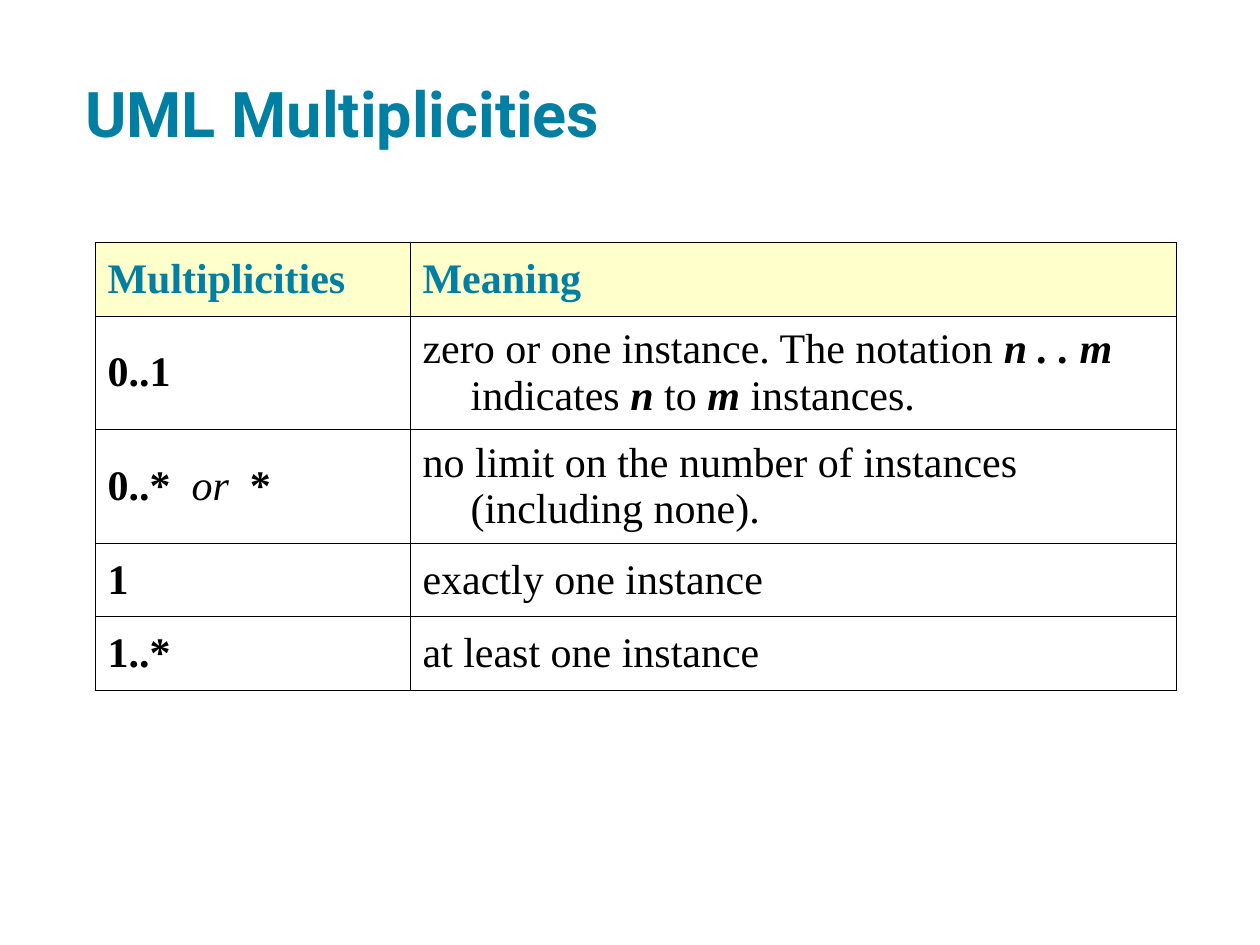
import pptx
import pptx.dml.color
import pptx.enum.text
import pptx.oxml
import pptx.oxml.ns
import pptx.util

# Content: each cell is a list of (text, style); b is bold, i is italic
TITLE = "UML Multiplicities"
ROWS = [
    ([("Multiplicities", "b")], [("Meaning", "b")]),
    ([("0..1", "b")],
     [("zero or one instance. The notation ", ""), ("n . . m", "bi"),
      (" indicates ", ""), ("n", "bi"), (" to ", ""), ("m", "bi"),
      (" instances.", "")]),
    ([("0..*", "b"), ("  or  ", "i"), ("*", "b")],
     [("no limit on the number of instances (including none).", "")]),
    ([("1", "b")], [("exactly one instance", "")]),
    ([("1..*", "b")], [("at least one instance", "")]),
]

# Layout in px, 126 to the inch
TITLE_BOX = (73, 63, 1143, 100)
TABLE_LEFT, TABLE_TOP = 95, 242
COLUMN_WIDTHS = (315, 766)
ROW_HEIGHTS = (74, 113, 114, 73, 74)
HANGING_INDENT = 48

TEAL = pptx.dml.color.RGBColor(0x00, 0x7F, 0xA3)
BLACK = pptx.dml.color.RGBColor(0x00, 0x00, 0x00)
CREAM = pptx.dml.color.RGBColor(0xFF, 0xFF, 0xCC)


def px(length):
    return pptx.util.Emu(round(length * 914400 / 126))


def add_run(paragraph, text, style, font_name, size, color):
    run = paragraph.add_run()
    run.text = text
    run.font.name = font_name
    run.font.size = pptx.util.Pt(size)
    run.font.bold = "b" in style
    run.font.italic = "i" in style
    run.font.color.rgb = color


def add_borders(cell):
    properties = cell._tc.get_or_add_tcPr()
    for position, side in enumerate(("lnL", "lnR", "lnT", "lnB")):
        border = pptx.oxml.parse_xml(
            f'<a:{side} {pptx.oxml.ns.nsdecls("a")} w="{pptx.util.Pt(0.34)}">'
            f'<a:solidFill><a:srgbClr val="{BLACK}"/></a:solidFill></a:{side}>')
        properties.insert(position, border)


def add_title(slide):
    box = slide.shapes.add_textbox(*map(px, TITLE_BOX))
    frame = box.text_frame
    frame.word_wrap = True
    frame.vertical_anchor = pptx.enum.text.MSO_ANCHOR.BOTTOM
    frame.margin_left = frame.margin_right = pptx.util.Inches(0.1)
    frame.margin_top = frame.margin_bottom = pptx.util.Inches(0.1)
    add_run(frame.paragraphs[0], TITLE, "b", "Roboto", 36, TEAL)


def fill_cell(cell, runs, is_header):
    cell.vertical_anchor = pptx.enum.text.MSO_ANCHOR.MIDDLE
    if is_header:
        cell.fill.solid()
        cell.fill.fore_color.rgb = CREAM
    else:
        cell.fill.background()
    add_borders(cell)
    paragraph = cell.text_frame.paragraphs[0]
    indent = px(HANGING_INDENT)
    paragraph_properties = paragraph._p.get_or_add_pPr()
    paragraph_properties.set("marL", str(indent))
    paragraph_properties.set("indent", str(-indent))
    for text, style in runs:
        add_run(paragraph, text, style, "Times New Roman", 24,
                TEAL if is_header else BLACK)


def add_multiplicity_table(slide):
    table = slide.shapes.add_table(
        len(ROWS), len(COLUMN_WIDTHS), px(TABLE_LEFT), px(TABLE_TOP),
        px(sum(COLUMN_WIDTHS)), px(sum(ROW_HEIGHTS))).table
    table.first_row = table.horz_banding = False
    for column, width in zip(table.columns, COLUMN_WIDTHS):
        column.width = px(width)
    for row_index, (row, height) in enumerate(zip(ROWS, ROW_HEIGHTS)):
        table.rows[row_index].height = px(height)
        for column_index, runs in enumerate(row):
            fill_cell(table.cell(row_index, column_index), runs, row_index == 0)


def main():
    presentation = pptx.Presentation()
    presentation.slide_width = px(1260)
    presentation.slide_height = px(945)
    slide = presentation.slides.add_slide(presentation.slide_layouts[6])
    add_title(slide)
    add_multiplicity_table(slide)
    presentation.save("out.pptx")


if __name__ == "__main__":
    main()
